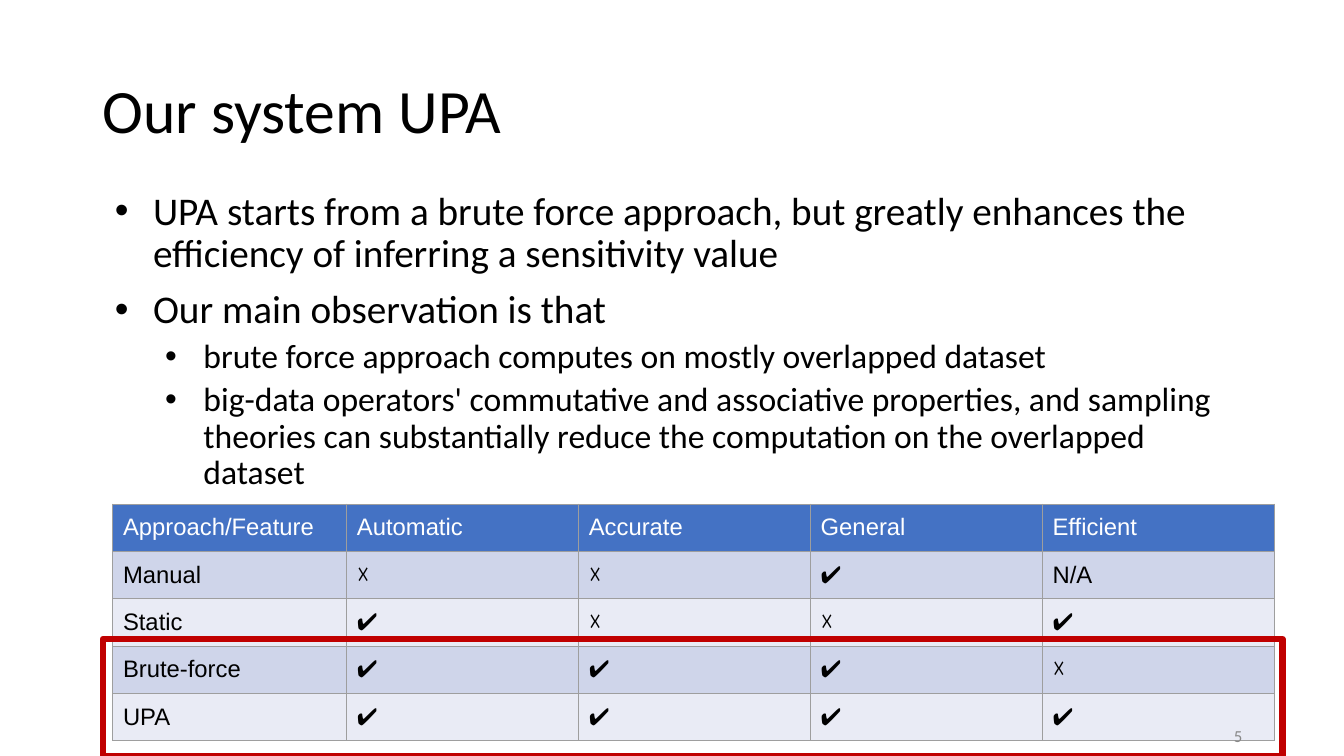
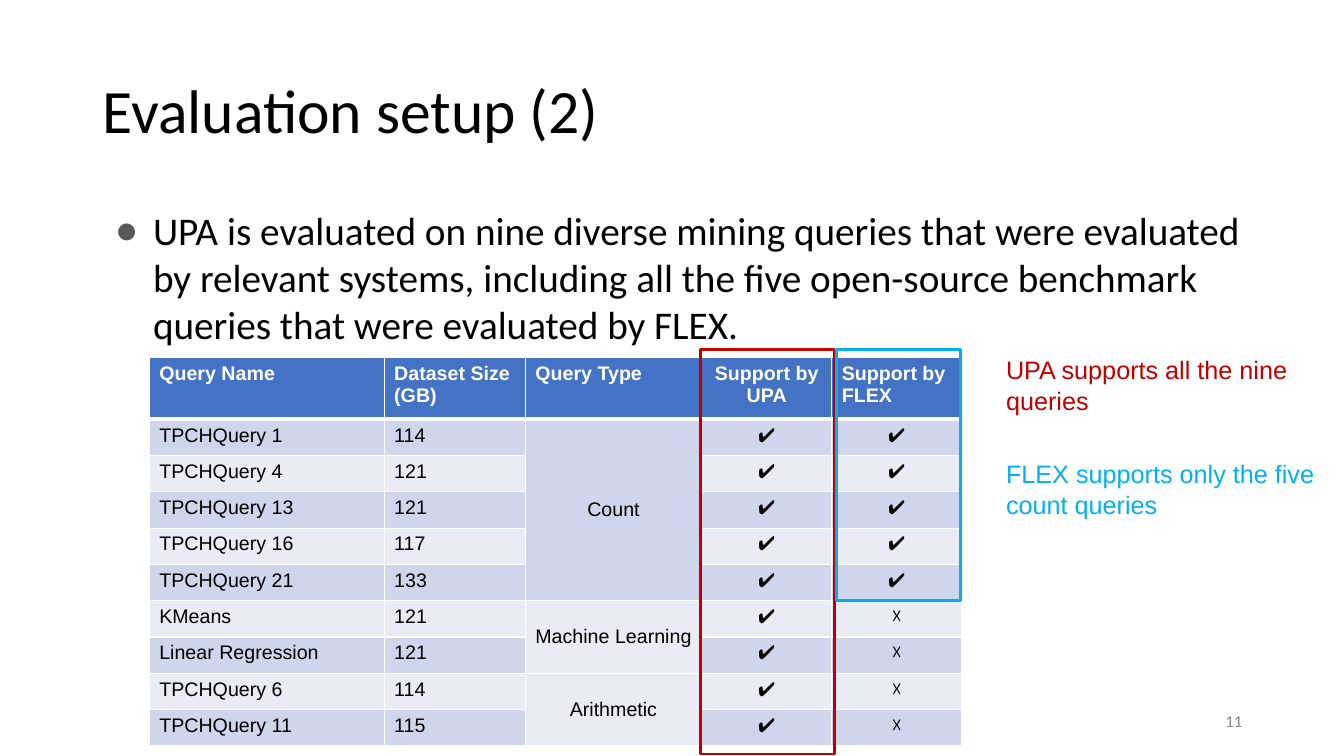
import pptx
import pptx.util
import pptx.dml.color
import pptx.enum.shapes
import pptx.enum.text
import pptx.oxml.ns
from lxml import etree

Inches = pptx.util.Inches
Pt = pptx.util.Pt
RGBColor = pptx.dml.color.RGBColor
Align = pptx.enum.text.PP_ALIGN
Anchor = pptx.enum.text.MSO_ANCHOR
qn = pptx.oxml.ns.qn

# Shared colours and fonts
BLACK = RGBColor(0x00, 0x00, 0x00)
WHITE = RGBColor(0xFF, 0xFF, 0xFF)
GRAY = RGBColor(0x88, 0x88, 0x88)
BULLET_GRAY = RGBColor(0x58, 0x58, 0x58)
GRID_GRAY = RGBColor(0x9E, 0x9E, 0x9E)
HEADER_BLUE = RGBColor(0x44, 0x72, 0xC4)
BANDS = [RGBColor(0xCF, 0xD5, 0xEA), RGBColor(0xE9, 0xEB, 0xF5)]
RED = RGBColor(0xC0, 0x00, 0x00)
SKY = RGBColor(0x02, 0xB0, 0xF0)
HEAD_FONT = "Calibri"
TABLE_FONT = "Arial"
YES, NO = "✔️", "☓"


def write(frame, text, size=18, font=HEAD_FONT, color=BLACK, bold=False, align=Align.LEFT,
          anchor=Anchor.TOP, line=None, before=0, bullet=None, bullet_color=BLACK, indent=0.5):
    """Add one formatted paragraph, filling the first one while it is empty."""
    frame.word_wrap = True
    frame.vertical_anchor = anchor
    para = frame.paragraphs[0]
    if para.runs:
        para = frame.add_paragraph()
    para.alignment = align
    para.space_before = Pt(before)
    if line:
        para.line_spacing = line
    if bullet:
        props = para._p.get_or_add_pPr()
        props.set("marL", str(Inches(indent)))
        props.set("indent", str(-Inches(0.38)))
        paint = etree.SubElement(props, qn("a:buClr"))
        etree.SubElement(paint, qn("a:srgbClr"), val=str(bullet_color))
        etree.SubElement(props, qn("a:buFont"), typeface="Arial")
        etree.SubElement(props, qn("a:buChar"), char=bullet)
    span = para.add_run()
    span.text = text
    span.font.size = Pt(size)
    span.font.name = font
    span.font.bold = bold
    span.font.color.rgb = color


def add_grid(page, left, top, widths, heights, rows, size, margin, border, border_width,
             header_rule, header_bold=False, header_centred=(), body_centred=(), merges=()):
    """Add a table with a blue header, banded rows and ruled cells."""
    table = page.shapes.add_table(len(rows), len(widths), Inches(left), Inches(top),
                                  Inches(sum(widths)), Inches(sum(heights))).table
    for column, width in zip(table.columns, widths):
        column.width = Inches(width)
    for r, (height, values) in enumerate(zip(heights, rows)):
        table.rows[r].height = Inches(height)
        for c, value in enumerate(values):
            cell = table.cell(r, c)
            cell.margin_left = cell.margin_right = Inches(0.1)
            cell.margin_top = cell.margin_bottom = Inches(margin)
            props = cell._tc.get_or_add_tcPr()
            for side in "LRTB":
                on_rule = (r, side) in ((0, "B"), (1, "T"))
                rule = etree.SubElement(props, qn("a:ln" + side),
                                        w=str(Pt(header_rule if on_rule else border_width)))
                fill = etree.SubElement(rule, qn("a:solidFill"))
                etree.SubElement(fill, qn("a:srgbClr"), val=str(border))
            cell.fill.solid()
            cell.fill.fore_color.rgb = BANDS[(r - 1) % 2] if r else HEADER_BLUE
            if value:
                centred = c in (body_centred if r else header_centred)
                write(cell.text_frame, value, size=size, font=TABLE_FONT,
                      color=BLACK if r else WHITE, bold=header_bold and r == 0,
                      align=Align.CENTER if centred else Align.LEFT)
    for first, last, column in merges:
        table.cell(first, column).merge(table.cell(last, column))
        table.cell(first, column).vertical_anchor = Anchor.MIDDLE


deck = pptx.Presentation()
deck.slide_width = Inches(13.33)
deck.slide_height = Inches(7.5)
system_page, setup_page = [deck.slides.add_slide(deck.slide_layouts[6]) for _ in range(2)]

# Approach comparison table
add_grid(
    system_page, 1.12, 5, [2.32] + [2.3] * 4, [0.47] * 5,
    [
        ["Approach/Feature", "Automatic", "Accurate", "General", "Efficient"],
        ["Manual", NO, NO, "✔", "N/A"],
        ["Static", "✔", NO, NO, "✔"],
        ["Brute-force", "✔", "✔", "✔", NO],
        ["UPA", "✔", "✔", "✔", "✔"],
    ],
    size=17, margin=0.1, border=GRID_GRAY, border_width=0.75, header_rule=0.75)

# Query table
add_grid(
    setup_page, 1.48, 3.55, [2.33, 1.4, 1.75, 1.29, 1.29], [0.61] + [0.36] * 9,
    [
        ["Query Name", "Dataset Size (GB)", "Query Type", "Support by UPA", "Support by FLEX"],
        ["TPCHQuery 1", "114", "Count", YES, YES],
        ["TPCHQuery 4", "121", "", YES, YES],
        ["TPCHQuery 13", "121", "", YES, YES],
        ["TPCHQuery 16", "117", "", YES, YES],
        ["TPCHQuery 21", "133", "", YES, YES],
        ["KMeans", "121", "Machine Learning", YES, NO],
        ["Linear Regression", "121", "", YES, NO],
        ["TPCHQuery 6", "114", "Arithmetic", YES, NO],
        ["TPCHQuery 11", "115", "", YES, NO],
    ],
    size=14, margin=0.05, border=WHITE, border_width=1, header_rule=3, header_bold=True,
    header_centred=(3,), body_centred=(2, 3, 4), merges=[(1, 5, 2), (6, 7, 2), (8, 9, 2)])

# Highlight frames
for page, place, color, weight in [
    (system_page, (1.02, 6.34, 11.7, 1.16), RED, 4.5),
    (setup_page, (6.95, 3.47, 1.33, 4.01), RED, 2),
    (setup_page, (8.3, 3.47, 1.23, 2.49), SKY, 2),
]:
    frame = page.shapes.add_shape(pptx.enum.shapes.MSO_SHAPE.RECTANGLE, *map(Inches, place))
    frame.shadow.inherit = False
    frame.fill.background()
    frame.line.color.rgb = color
    frame.line.width = Pt(weight)
    etree.SubElement(frame._element.spPr.find(qn("a:ln")), qn("a:round"))

# Titles, body text, notes beside the table and page numbers
title = dict(size=44, anchor=Anchor.MIDDLE, line=0.9)
point = dict(size=28, line=0.9, before=10, bullet="•")
subpoint = dict(size=24, line=0.9, before=5, bullet="•", indent=1)
lead = dict(size=28, bullet="●", bullet_color=BULLET_GRAY)
number = dict(size=12, color=GRAY, align=Align.RIGHT, anchor=Anchor.MIDDLE)
title_place = (0.92, 0.4, 11.5, 1.45)

for page, place, lines in [
    (system_page, title_place, [("Our system UPA", title)]),
    (system_page, (0.92, 1.85, 11.5, 4.76), [
        ("UPA starts from a brute force approach, but greatly enhances the efficiency of "
         "inferring a sensitivity value", point),
        ("Our main observation is that", point),
        ("brute force approach computes on mostly overlapped dataset", subpoint),
        ("big-data operators' commutative and associative properties, and sampling theories "
         "can substantially reduce the computation on the overlapped dataset", subpoint),
    ]),
    (system_page, (9.42, 7.1, 3, 0.4), [("5", number)]),
    (setup_page, title_place, [("Evaluation setup (2)", title)]),
    (setup_page, (0.92, 2, 11.5, 4.76), [
        ("UPA is evaluated on nine diverse mining queries that were evaluated by relevant "
         "systems, including all the five open-source benchmark queries that were evaluated "
         "by FLEX.", lead),
    ]),
    (setup_page, (9.88, 3.47, 3.45, 0.71), [
        ("UPA supports all the nine queries", dict(font=TABLE_FONT, color=RED))]),
    (setup_page, (9.88, 4.5, 3.45, 0.71), [
        ("FLEX supports only the five count queries", dict(font=TABLE_FONT, color=SKY))]),
    (setup_page, (9.42, 6.95, 3, 0.4), [("11", number)]),
]:
    box = page.shapes.add_textbox(*map(Inches, place))
    for text, style in lines:
        write(box.text_frame, text, **style)

deck.save("out.pptx")
